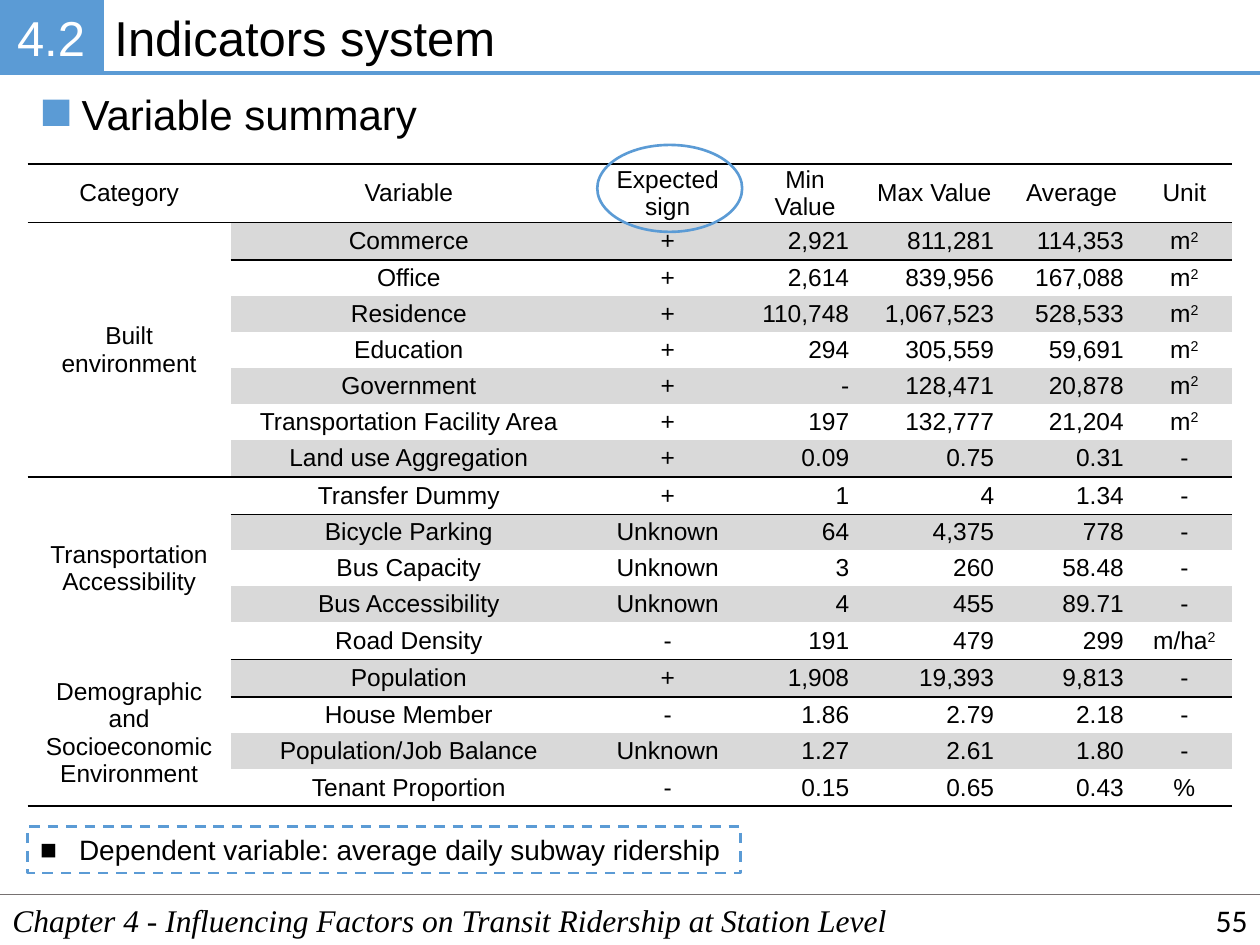
from dataclasses import dataclass

from lxml.etree import SubElement
from pptx import Presentation
from pptx.dml.color import RGBColor
from pptx.enum.dml import MSO_LINE
from pptx.enum.shapes import MSO_CONNECTOR, MSO_SHAPE
from pptx.enum.text import MSO_ANCHOR, PP_ALIGN
from pptx.oxml.ns import qn
from pptx.util import Inches, Pt

COLORS = {"accent": "5B9BD5", "ink": "000000", "paper": "FFFFFF",
          "band": "D9D9D9", "footer": "767171"}
SLIDE_WIDTH, SLIDE_HEIGHT = Inches(10), Inches(7.5)
GRID_COLUMNS, GRID_ROWS = 100, 75
NO_GRID_STYLE = "{2D5ABB26-0587-4C30-8999-92F81FD0307C}"
THICK, THIN = 1.5, 1

HEADINGS = ("Category", "Variable", "Expected sign", "Min Value", "Max Value", "Average", "Unit")
COLUMN_SPANS = (16.1, 28.3, 12.8, 9, 11.5, 10.3, 7.6)
HEADER_SPAN, EDGE_SPAN, INNER_SPAN = 4.64, 2.98, 2.85
NUMBER_COLUMNS = range(3, 6)


@dataclass(frozen=True)
class Area:
    column: float
    row: float
    columns: float
    rows: float

    def box(self) -> tuple:
        return across(self.column), down(self.row), across(self.columns), down(self.rows)


@dataclass(frozen=True)
class Category:
    name: str
    variables: tuple


CATEGORIES = (
    Category("Built environment", (
        ("Commerce", "+", "2,921", "811,281", "114,353", "m^2"),
        ("Office", "+", "2,614", "839,956", "167,088", "m^2"),
        ("Residence", "+", "110,748", "1,067,523", "528,533", "m^2"),
        ("Education", "+", "294", "305,559", "59,691", "m^2"),
        ("Government", "+", "-", "128,471", "20,878", "m^2"),
        ("Transportation Facility Area", "+", "197", "132,777", "21,204", "m^2"),
        ("Land use Aggregation", "+", "0.09", "0.75", "0.31", "-"))),
    Category("Transportation Accessibility", (
        ("Transfer Dummy", "+", "1", "4", "1.34", "-"),
        ("Bicycle Parking", "Unknown", "64", "4,375", "778", "-"),
        ("Bus Capacity", "Unknown", "3", "260", "58.48", "-"),
        ("Bus Accessibility", "Unknown", "4", "455", "89.71", "-"),
        ("Road Density", "-", "191", "479", "299", "m/ha^2"))),
    Category("Demographic and Socioeconomic Environment", (
        ("Population", "+", "1,908", "19,393", "9,813", "-"),
        ("House Member", "-", "1.86", "2.79", "2.18", "-"),
        ("Population/Job Balance", "Unknown", "1.27", "2.61", "1.80", "-"),
        ("Tenant Proportion", "-", "0.15", "0.65", "0.43", "%"))),
)


def across(columns: float) -> int:
    return round(SLIDE_WIDTH * columns / GRID_COLUMNS)


def down(rows: float) -> int:
    return round(SLIDE_HEIGHT * rows / GRID_ROWS)


def color(name: str) -> RGBColor:
    return RGBColor.from_string(COLORS[name])


def write(frame, text: str, *, size: float, font="Arial", ink="ink", italic=False,
          align=PP_ALIGN.LEFT, anchor=MSO_ANCHOR.TOP, bullet="", indent=0.0) -> None:
    frame.word_wrap = True
    frame.vertical_anchor = anchor
    paragraph = frame.paragraphs[0]
    paragraph.alignment = align
    if bullet:
        properties = paragraph._p.get_or_add_pPr()
        properties.set("marL", str(across(indent)))
        properties.set("indent", str(-across(indent)))
        SubElement(properties, qn("a:buFont")).set("typeface", font)
        SubElement(properties, qn("a:buChar")).set("char", bullet)
    for position, part in enumerate(text.split("^")):
        run = paragraph.add_run()
        run.text = part
        run.font.size = Pt(size)
        run.font.name = font
        run.font.italic = italic
        run.font.color.rgb = color(ink)
        if position:
            run._r.get_or_add_rPr().set("baseline", "30000")


def add_text(shapes, area: Area, text: str, **style) -> None:
    write(shapes.add_textbox(*area.box()).text_frame, text, **style)


def add_figure(shapes, kind, area: Area, *, fill="", line="", weight=1.5, dash=None):
    shape = shapes.add_shape(kind, *area.box())
    shape.shadow.inherit = False
    if fill:
        shape.fill.solid()
        shape.fill.fore_color.rgb = color(fill)
    else:
        shape.fill.background()
    if line:
        shape.line.color.rgb = color(line)
        shape.line.width = Pt(weight)
        shape.line.dash_style = dash
    else:
        shape.line.fill.background()
    return shape


def add_rule(shapes, column: float, row: float, ink: str, weight: float) -> None:
    connector = shapes.add_connector(MSO_CONNECTOR.STRAIGHT, across(column), down(row),
                                     SLIDE_WIDTH, down(row))
    connector.line.color.rgb = color(ink)
    connector.line.width = Pt(weight)
    SubElement(connector._element.spPr, qn("a:effectLst"))


def format_cell(cell, text: str, *, top=0.0, bottom=0.0, banded=False,
                align=PP_ALIGN.CENTER) -> None:
    properties = cell._tc.get_or_add_tcPr()
    for tag, weight in (("a:lnT", top), ("a:lnB", bottom)):
        if weight:
            border = SubElement(properties, qn(tag), w=str(Pt(weight)))
            fill = SubElement(border, qn("a:solidFill"))
            SubElement(fill, qn("a:srgbClr"), val=COLORS["ink"])
    if banded:
        cell.fill.solid()
        cell.fill.fore_color.rgb = color("band")
    else:
        cell.fill.background()
    cell.margin_top = cell.margin_bottom = 0
    cell.vertical_anchor = MSO_ANCHOR.MIDDLE
    if text:
        write(cell.text_frame, text, size=14, align=align, anchor=None)


def add_variable_table(shapes, area: Area) -> None:
    row_count = 1 + sum(len(category.variables) for category in CATEGORIES)
    table = shapes.add_table(row_count, len(HEADINGS), *area.box()).table
    table.first_row = table.horz_banding = False
    table._tbl.tblPr.find(qn("a:tableStyleId")).text = NO_GRID_STYLE
    for column, span in zip(table.columns, COLUMN_SPANS):
        column.width = across(span)
    table.rows[0].height = down(HEADER_SPAN)
    for column, heading in enumerate(HEADINGS):
        format_cell(table.cell(0, column), heading, top=THICK, bottom=THIN)

    row = 1
    for category in CATEGORIES:
        first, last = row, row + len(category.variables) - 1
        final = last == row_count - 1
        for variable in category.variables:
            edge = row in (first, last)
            table.rows[row].height = down(EDGE_SPAN if edge else INNER_SPAN)
            top = THIN if row == first else 0
            bottom = (THICK if final else THIN) if row == last else 0
            format_cell(table.cell(row, 0), category.name if row == first else "",
                        top=THIN if row == 1 else 0,
                        bottom=THICK if final and edge else 0)
            for column, text in enumerate(variable, 1):
                align = PP_ALIGN.RIGHT if column in NUMBER_COLUMNS else PP_ALIGN.CENTER
                format_cell(table.cell(row, column), text, top=top, bottom=bottom,
                            banded=row % 2 == 1, align=align)
            row += 1
        table.cell(first, 0).merge(table.cell(last, 0))


def main() -> None:
    presentation = Presentation()
    presentation.slide_width, presentation.slide_height = SLIDE_WIDTH, SLIDE_HEIGHT
    shapes = presentation.slides.add_slide(presentation.slide_layouts[6]).shapes

    add_rule(shapes, 0, 71, "footer", 1)
    add_text(shapes, Area(8.1, 0.1, 91.9, 5.7), "Indicators system", size=28)
    badge = add_figure(shapes, MSO_SHAPE.RECTANGLE, Area(0, 0, 8.1, 5.8),
                       fill="accent", line="accent", weight=2.25)
    frame = badge.text_frame
    frame.margin_left = frame.margin_right = across(0.6)
    write(frame, "4.2", size=28, ink="paper", align=PP_ALIGN.CENTER, anchor=MSO_ANCHOR.MIDDLE)
    add_rule(shapes, 8.1, 5.8, "accent", 2.25)
    add_text(shapes, Area(0, 71, 100, 4),
             "Chapter 4 - Influencing Factors on Transit Ridership at Station Level",
             size=18, font="Times New Roman", italic=True)
    add_text(shapes, Area(77.5, 71, 22.5, 4), "55", size=18, font="Calibri",
             align=PP_ALIGN.RIGHT, anchor=MSO_ANCHOR.MIDDLE)

    add_variable_table(shapes, Area(2.2, 13, 95.6, 51))
    note = add_figure(shapes, MSO_SHAPE.RECTANGLE, Area(2.2, 65.6, 56.6, 3.7),
                      line="accent", dash=MSO_LINE.DASH)
    write(note.text_frame, "Dependent variable: average daily subway ridership",
          size=16, bullet="■", indent=3.1)

    heading = shapes.add_group_shape().shapes
    add_figure(heading, MSO_SHAPE.RECTANGLE, Area(3.4, 7.9, 2.1, 2.1), fill="accent")
    add_text(heading, Area(5.5, 6.5, 29.6, 5), "Variable summary", size=24)
    add_figure(shapes, MSO_SHAPE.OVAL, Area(47.4, 11.5, 11.5, 6.9), line="accent")
    presentation.save("out.pptx")


if __name__ == "__main__":
    main()
